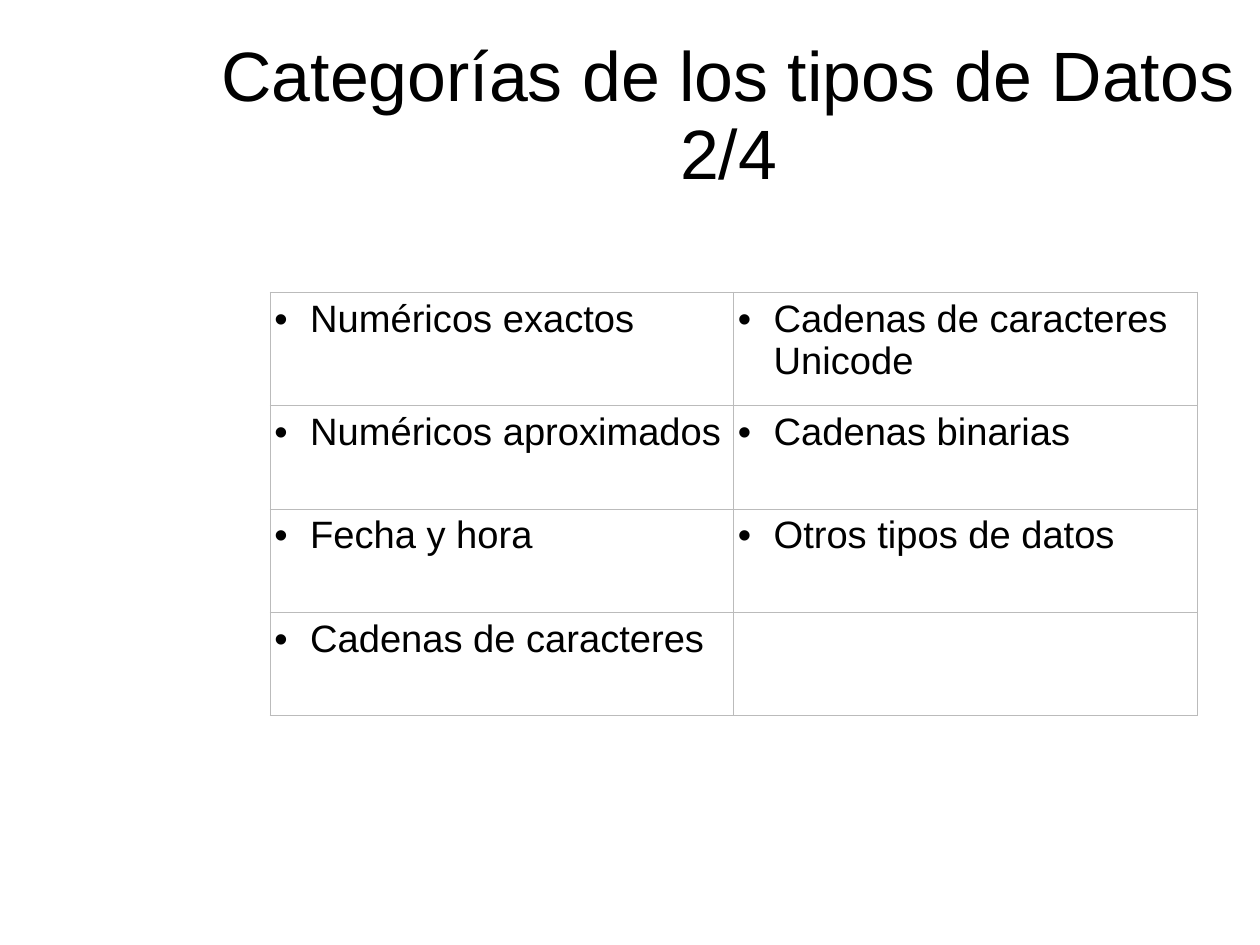
"""Build the slide listing SQL data type categories in a two-column table."""
from lxml import etree
from pptx import Presentation, util as u
from pptx.dml import color
from pptx.enum import text
from pptx.oxml import ns


def rgb(value):
    return color.RGBColor.from_string(value)


def add_xml(parent, tag, **attributes):
    return etree.SubElement(parent, ns.qn(tag), attributes)


BLACK, WHITE, GRID = "000000", "FFFFFF", "BBBBBB"
FONT = "Arial"
CATEGORIES = [
    ("Numéricos exactos", "Cadenas de caracteres Unicode"),
    ("Numéricos aproximados", "Cadenas binarias"),
    ("Fecha y hora", "Otros tipos de datos"),
    ("Cadenas de caracteres", ""),
]
ROW_HEIGHTS = [71.2, 65.3, 65.1, 65.3]
COLUMN_WIDTH = 292

presentation = Presentation()
presentation.slide_width = u.Pt(793.75)
presentation.slide_height = u.Pt(595.25)
slide = presentation.slides.add_slide(presentation.slide_layouts[6])

title = slide.shapes.add_textbox(u.Pt(124.5), u.Pt(14.4), u.Pt(669), u.Pt(118.8))
frame = title.text_frame
frame.word_wrap = True
frame.vertical_anchor = text.MSO_ANCHOR.MIDDLE
frame.margin_left = frame.margin_right = frame.margin_top = frame.margin_bottom = 0
paragraph = frame.paragraphs[0]
paragraph.text = "Categorías de los tipos de Datos\n2/4"
paragraph.alignment = text.PP_ALIGN.CENTER
paragraph.line_spacing = 0.93
for run in paragraph.runs:
    run.font.name = FONT
    run.font.size = u.Pt(44)
    run.font.color.rgb = rgb(BLACK)

table = slide.shapes.add_table(
    len(CATEGORIES), 2, u.Pt(170), u.Pt(184),
    u.Pt(2 * COLUMN_WIDTH), u.Pt(sum(ROW_HEIGHTS)),
).table
table.first_row = table.horz_banding = False
for column in table.columns:
    column.width = u.Pt(COLUMN_WIDTH)

for row_index, (names, height) in enumerate(zip(CATEGORIES, ROW_HEIGHTS)):
    table.rows[row_index].height = u.Pt(height)
    for column_index, name in enumerate(names):
        cell = table.cell(row_index, column_index)
        cell.margin_left = cell.margin_right = u.Pt(2.9)
        cell.margin_top = cell.margin_bottom = u.Pt(3.6)

        properties = cell._tc.get_or_add_tcPr()
        for side in ("a:lnL", "a:lnR", "a:lnT", "a:lnB"):
            border = add_xml(properties, side, w=str(u.Pt(0.34)))
            add_xml(add_xml(border, "a:solidFill"), "a:srgbClr", val=GRID)
        cell.fill.solid()
        cell.fill.fore_color.rgb = rgb(WHITE)

        if name:
            paragraph = cell.text_frame.paragraphs[0]
            paragraph.text = name
            bullet = paragraph._p.get_or_add_pPr()
            bullet.set("marL", str(u.Pt(22.5)))
            bullet.set("indent", str(-u.Pt(22.5)))
            add_xml(add_xml(bullet, "a:buClr"), "a:srgbClr", val=BLACK)
            add_xml(bullet, "a:buFont", typeface=FONT)
            add_xml(bullet, "a:buChar", char="•")
            run = paragraph.runs[0]
            run.font.name = FONT
            run.font.size = u.Pt(24)
            run.font.color.rgb = rgb(BLACK)

presentation.save("out.pptx")
